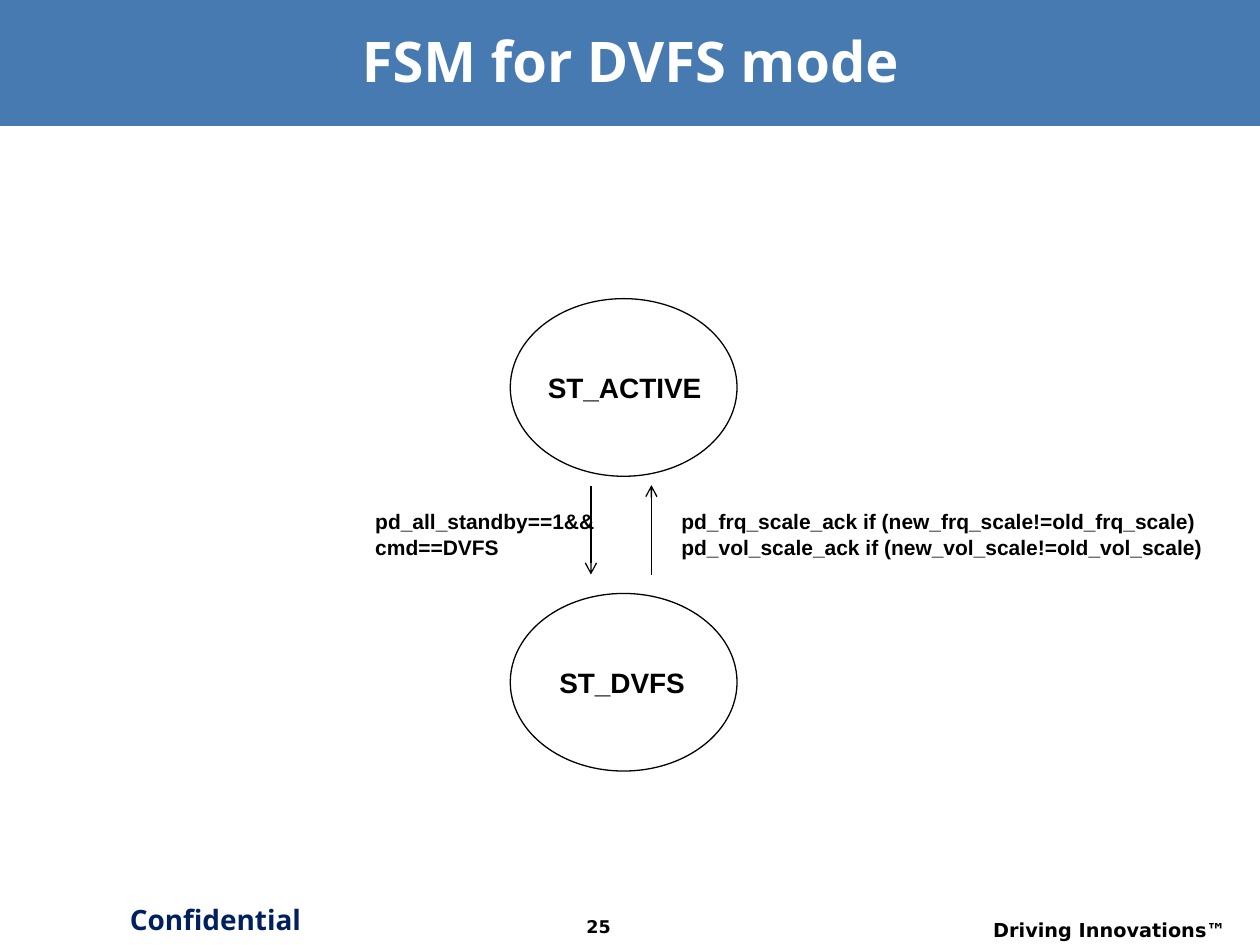
from lxml import etree
from pptx import Presentation
from pptx.dml.color import RGBColor
from pptx.enum import shapes, text
from pptx.oxml import parse_xml
from pptx.oxml.ns import nsdecls, qn
from pptx.util import Inches, Pt

INK = {"band": "477AB1", "navy": "002060", "black": "000000", "white": "FFFFFF"}
LEFT, MID, RIGHT = text.PP_ALIGN.LEFT, text.PP_ALIGN.CENTER, text.PP_ALIGN.RIGHT

TITLE = "FSM for DVFS mode"
# words, box, size, font, colour, alignment
FOOTER = [
    ("Confidential", (0.89, 7.11, 1.64, 0.42), 16, "Open Sans", "navy", MID),
    ("Driving Innovations™", (7.46, 7.24, 2.37, 0.26), 11, "DejaVu Sans", "black", RIGHT),
    ("25", (4.29, 7.22, 0.92, 0.28), 10, "DejaVu Sans", "black", MID),
]
# name, top of ellipse, left and width of label
STATES = [("ST_ACTIVE", 2.37, 4.25, 1.43), ("ST_DVFS", 4.71, 4.34, 1.21)]
# x, start y, end y, left and width of label, conditions
MOVES = [
    (4.69, 3.86, 4.56, 2.88, 1.96, ["pd_all_standby==1&&", "cmd==DVFS"]),
    (5.17, 4.56, 3.85, 5.31, 4.37, [
        "pd_frq_scale_ack if (new_frq_scale!=old_frq_scale)",
        "pd_vol_scale_ack if (new_vol_scale!=old_vol_scale)",
    ]),
]
OVAL = (4.05, 1.8, 1.41)  # left, width, height
DROP = 0.52  # from ellipse top to label top

deck = Presentation()
deck.slide_width, deck.slide_height = Inches(10), Inches(7.5)
slide = deck.slides.add_slide(deck.slide_layouts[6])


def tint(name):
    return RGBColor.from_string(INK[name])


def write(lines, box, size, font="Arial", color="black", align=LEFT, wrap=False):
    """Add a bold text box and return its runs."""
    frame = slide.shapes.add_textbox(*map(Inches, box)).text_frame
    frame.word_wrap = wrap
    runs = []
    for i, line in enumerate(lines):
        para = frame.paragraphs[0] if i == 0 else frame.add_paragraph()
        para.alignment = align
        run = para.add_run()
        run.text = line
        run.font.size, run.font.name, run.font.bold = Pt(size), font, True
        run.font.color.rgb = tint(color)
        runs.append(run)
    return runs


def shade(run):
    """Give the letters of a run a hard black shadow."""
    glow = parse_xml(
        f'<a:effectLst {nsdecls("a")}><a:outerShdw dist="38100" dir="2700000">'
        f'<a:srgbClr val="{INK["black"]}"/></a:outerShdw></a:effectLst>')
    run.font.fill  # the effect list must follow the fill
    run.font._element.find(qn("a:solidFill")).addnext(glow)


def draw_oval(top):
    left, width, height = OVAL
    oval = slide.shapes.add_shape(
        shapes.MSO_SHAPE.OVAL, *map(Inches, (left, top, width, height)))
    oval.shadow.inherit = False
    oval.fill.background()
    oval.line.color.rgb, oval.line.width = tint("black"), Pt(0.75)


def draw_arrow(x, start, end):
    arrow = slide.shapes.add_connector(
        shapes.MSO_CONNECTOR.STRAIGHT, *map(Inches, (x, start, x, end)))
    arrow.line.color.rgb, arrow.line.width = tint("black"), Pt(0.75)
    etree.SubElement(arrow.line._get_or_add_ln(), qn("a:tailEnd"), type="arrow")
    etree.SubElement(arrow._element.spPr, qn("a:effectLst"))


band = slide.shapes.add_shape(shapes.MSO_SHAPE.RECTANGLE, 0, 0, Inches(10), Inches(1))
band.shadow.inherit = False
band.fill.solid()
band.fill.fore_color.rgb = tint("band")
band.line.fill.background()

for words, box, *style in FOOTER:
    write([words], box, *style, wrap=True)

shade(write([TITLE], (0.35, 0.16, 9.31, 0.66), 32, "Open Sans", "white", MID, True)[0])

for name, top, left, width in STATES:
    draw_oval(top)
    write([name], (left, top + DROP, width, 0.37), 16)

for x, start, end, left, width, lines in MOVES:
    draw_arrow(x, start, end)
    write(lines, (left, 3.99, width, 0.5), 12)

deck.save("out.pptx")
